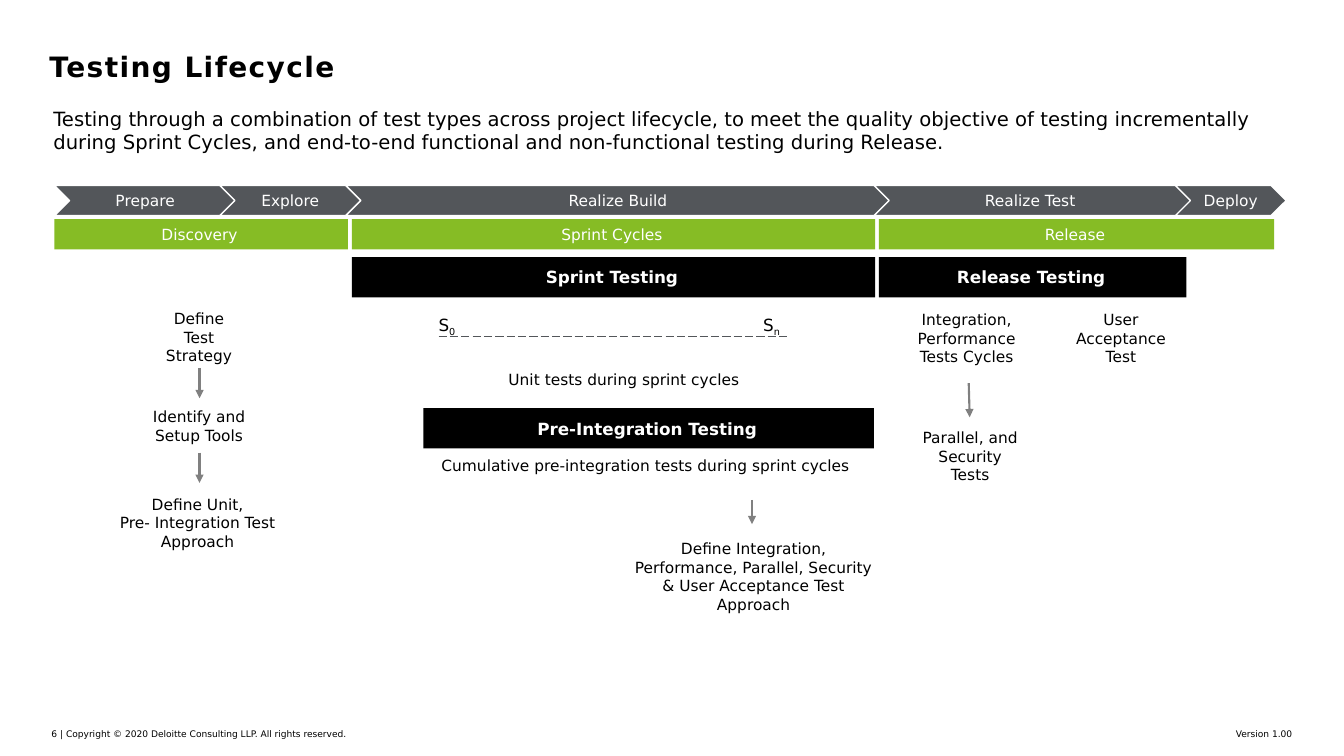
from lxml import etree
from pptx import Presentation
from pptx.dml.color import RGBColor
from pptx.enum.dml import MSO_LINE
from pptx.enum.shapes import MSO_CONNECTOR, MSO_SHAPE
from pptx.enum.text import MSO_ANCHOR, PP_ALIGN
from pptx.oxml.ns import qn
from pptx.util import Inches, Pt

LEFT, CENTER, RIGHT = PP_ALIGN.LEFT, PP_ALIGN.CENTER, PP_ALIGN.RIGHT
TOP, MIDDLE = MSO_ANCHOR.TOP, MSO_ANCHOR.MIDDLE
RECTANGLE, CHEVRON = MSO_SHAPE.RECTANGLE, MSO_SHAPE.CHEVRON
STRAIGHT, LONG_DASH = MSO_CONNECTOR.STRAIGHT, MSO_LINE.LONG_DASH

THEME = {
    "font": "DejaVu Sans",
    "black": RGBColor(0x00, 0x00, 0x00),
    "white": RGBColor(0xFF, 0xFF, 0xFF),
    "green": RGBColor(0x86, 0xBC, 0x25),
    "slate": RGBColor(0x53, 0x56, 0x5A),
    "gray": RGBColor(0x80, 0x80, 0x80),
    "title": Pt(20),
    "lead": Pt(14),
    "heading": Pt(12),
    "body": Pt(11),
    "footer": Pt(6.5),
}

deck = Presentation()
deck.slide_width, deck.slide_height = Inches(13.33), Inches(7.5)
page = deck.slides.add_slide(deck.slide_layouts[6])
COLUMN, ROW = deck.slide_width / 100, deck.slide_height / 100


def write(box, lines, size, color="black", align=CENTER, anchor=TOP, bold=False, insets=(0, 0, 0, 0)):
    frame = box.text_frame
    frame.word_wrap = True
    frame.vertical_anchor = anchor
    frame.margin_left, frame.margin_top, frame.margin_right, frame.margin_bottom = map(Inches, insets)
    frame.text = lines
    for para in frame.paragraphs:
        para.alignment = align
        para.font.name = THEME["font"]
        para.font.size = THEME[size]
        para.font.bold = bold
        para.font.color.rgb = THEME[color]
    return frame.paragraphs[0]


def place(left, top, width, height):
    return [round(left * COLUMN), round(top * ROW), round(width * COLUMN), round(height * ROW)]


title = page.shapes.add_textbox(*place(3.68, 6.27, 92.33, 4.93))
heading = write(title, "Testing Lifecycle", "title", align=LEFT, anchor=MIDDLE, bold=True)
heading.runs[0].font.bold = True
heading.runs[0]._r.get_or_add_rPr().set("spc", "100")

lead = page.shapes.add_textbox(*place(3.23, 13.47, 92.48, 7.33))
write(
    lead,
    "Testing through a combination of test types across project lifecycle, to meet the quality objective "
    "of testing incrementally during Sprint Cycles, and end-to-end functional and non-functional testing "
    "during Release.",
    "lead", align=LEFT, insets=(0.1, 0.05, 0.1, 0.05),
)

footers = [
    (3.83, 43.95, LEFT, "6 | Copyright © 2020 Deloitte Consulting LLP. All rights reserved."),
    (72.9, 23.25, RIGHT, "Version 1.00"),
]
for left, width, align, words in footers:
    write(page.shapes.add_textbox(*place(left, 96.4, width, 1.47)), words, "footer", align=align)

phases = [
    (4.05, 13.5, 0.11, "Prepare"),
    (16.35, 10.5, 0.11, "Explore"),
    (25.73, 40.5, 0.11, "Realize Build"),
    (65.03, 24, 0.21, "Realize Test"),
    (87.45, 8.25, 0.11, "Deploy"),
]
for left, width, right_inset, words in phases:
    phase = page.shapes.add_shape(CHEVRON, *place(left, 24.53, width, 4))
    phase.shadow.inherit = False
    phase.fill.solid()
    phase.fill.fore_color.rgb = THEME["slate"]
    phase.line.color.rgb = THEME["white"]
    phase.line.width = Pt(1)
    write(phase, words, "body", "white", anchor=MIDDLE, insets=(0.11, 0.06, right_inset, 0.06))

bars = [
    (4.05, 29, 21.83, 4, "green", "body", "Discovery"),
    (26.18, 29, 38.93, 4, "green", "body", "Sprint Cycles"),
    (65.4, 29, 29.4, 4, "green", "body", "Release"),
    (26.18, 34, 38.93, 5.33, "black", "heading", "Sprint Testing"),
    (65.4, 34, 22.88, 5.33, "black", "heading", "Release Testing"),
    (31.5, 54, 33.53, 5.33, "black", "heading", "Pre-Integration Testing"),
]
for left, top, width, height, color, size, words in bars:
    bar = page.shapes.add_shape(RECTANGLE, *place(left, top, width, height))
    bar.shadow.inherit = False
    bar.fill.solid()
    bar.fill.fore_color.rgb = THEME[color]
    bar.line.fill.background()
    write(bar, words, size, "white", anchor=MIDDLE, bold=size == "heading", insets=(0.03, 0.05, 0.06, 0.05))

activities = [
    (11.85, 40.93, 5.93, 7.47, "Define Test Strategy"),
    (9.53, 53.87, 10.58, 4.93, "Identify and Setup Tools"),
    (7.2, 65.47, 15, 7.47, "Define Unit,\nPre- Integration Test Approach"),
    (33.38, 48.93, 26.1, 2.53, "Unit tests during sprint cycles"),
    (31.13, 60.4, 33.83, 2.53, "Cumulative pre-integration tests during sprint cycles"),
    (46.73, 71.33, 18.68, 9.87,
     "Define Integration, Performance, Parallel, Security & User Acceptance Test Approach"),
    (66.98, 41.07, 9.9, 7.47, "Integration,\nPerformance Tests Cycles"),
    (68.25, 56.67, 7.88, 7.47, "Parallel, and Security Tests"),
    (79.13, 41.07, 8.55, 7.47, "User Acceptance Test"),
]
for left, top, width, height, words in activities:
    write(page.shapes.add_textbox(*place(left, top, width, height)), words, "body")

for left, index in [(32.63, "0"), (56.78, "n")]:
    sprint = page.shapes.add_textbox(*place(left, 41.6, 1.88, 2.67))
    para = write(sprint, "S", "heading", align=LEFT)
    span = para.add_run()
    span.text = index
    span._r.get_or_add_rPr().set("baseline", "-25000")

lines = [
    (14.85, 48.67, 14.85, 52.67, "gray", 1.5),
    (14.85, 59.87, 14.85, 63.87, "gray", 1.5),
    (55.95, 66.13, 55.95, 69.33, "gray", 1.5),
    (72.08, 50.67, 72.15, 55.2, "gray", 1.5),
    (32.63, 44.53, 58.65, 44.53, "slate", 0.75),
]
for start_x, start_y, end_x, end_y, color, weight in lines:
    line = page.shapes.add_connector(STRAIGHT, *place(start_x, start_y, end_x, end_y))
    line.line.color.rgb = THEME[color]
    line.line.width = Pt(weight)
    if color == "gray":
        etree.SubElement(line.line._get_or_add_ln(), qn("a:tailEnd"), type="triangle")
    else:
        line.line.dash_style = LONG_DASH
    etree.SubElement(line._element.spPr, qn("a:effectLst"))

deck.save("out.pptx")
